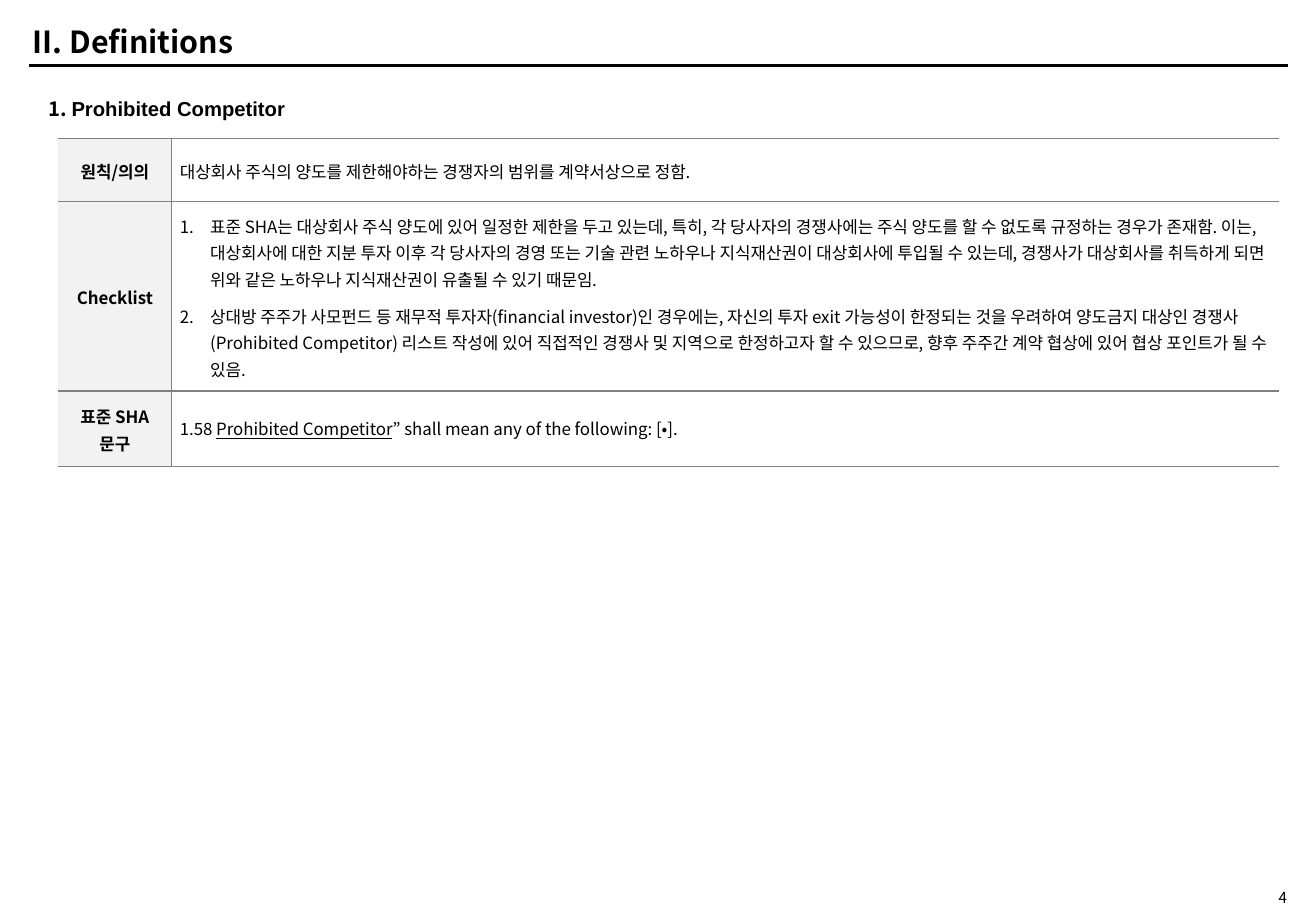
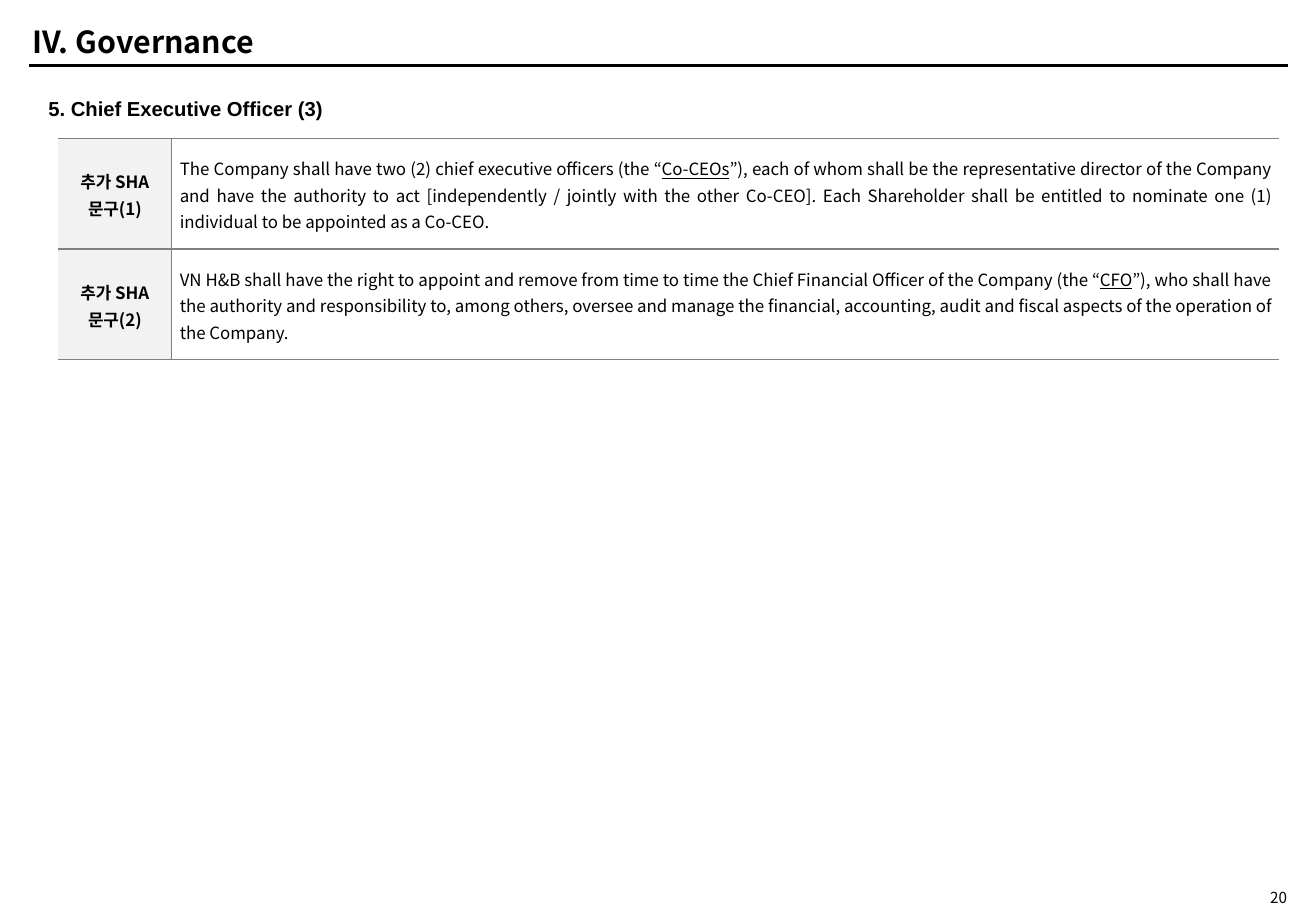
from dataclasses import dataclass

from lxml.etree import SubElement
from pptx import Presentation
from pptx.dml.color import RGBColor
from pptx.enum.shapes import MSO_CONNECTOR
from pptx.enum.text import MSO_ANCHOR, PP_ALIGN
from pptx.oxml.ns import qn
from pptx.util import Inches, Length, Pt


@dataclass(frozen=True)
class Theme:
    ink: str = "000000"
    border: str = "808080"
    label_fill: str = "F2F2F2"
    sans: str = "Noto Sans CJK KR"
    heading_font: str = "Arial"
    title_size: float = 18
    heading_size: float = 12
    body_size: float = 10
    page_size: float = 9
    rule_width: float = 2
    border_width: float = 1


@dataclass(frozen=True)
class Span:
    text: str
    underline: bool = False
    font: str = ""


@dataclass(frozen=True)
class Para:
    spans: tuple[Span, ...]
    align: PP_ALIGN = PP_ALIGN.LEFT
    spacing: float | Length = 1.1
    space_after: float = 0
    numbered: bool = False


@dataclass(frozen=True)
class Row:
    height: float
    label: str
    paras: tuple[Para, ...]


@dataclass(frozen=True)
class Page:
    number: int
    title: str
    heading: tuple[Span, ...]
    rows: tuple[Row, ...]


@dataclass(frozen=True)
class Area:
    """Place on the grid, in columns and rows."""
    left: float
    top: float
    width: float
    height: float


THEME = Theme()
COLUMNS, ROWS = 108.3, 75
SLIDE_WIDTH, SLIDE_HEIGHT = Inches(10.83), Inches(7.5)
TITLE = Area(1.7, 1.5, 74.7, 3.8)
HEADING = Area(3, 7.45, 100.2, 3)
PAGE_NUMBER = Area(97.5, 73.1, 9.4, 1.5)
RULE = Area(2.4, 5.4, 103.6, 0)
TABLE_LEFT, TABLE_TOP = 4.8, 11.4
TABLE_COLUMNS = (9.3, 91.2)
CELL_MARGIN = 0.7
NUMBER_INDENT = 2.5


def across(columns: float) -> Length:
    return Length(round(SLIDE_WIDTH * columns / COLUMNS))


def down(rows: float) -> Length:
    return Length(round(SLIDE_HEIGHT * rows / ROWS))


def place(area: Area) -> tuple[Length, Length, Length, Length]:
    return across(area.left), down(area.top), across(area.width), down(area.height)


def write_para(para, content: Para, size: float, bold: bool = False) -> None:
    para.alignment = content.align
    para.line_spacing = content.spacing
    para.space_after = Pt(content.space_after)
    if content.numbered:
        properties = para._p.get_or_add_pPr()
        properties.set("marL", str(across(NUMBER_INDENT)))
        properties.set("indent", str(-across(NUMBER_INDENT)))
        SubElement(properties, qn("a:buAutoNum"), type="arabicPeriod")
    for span in content.spans:
        for index, line in enumerate(span.text.split("\n")):
            if index:
                para.add_line_break()
            run = para.add_run()
            run.text = line
            font = run.font
            font.size, font.bold = Pt(size), bold
            font.underline = span.underline
            font.color.rgb = RGBColor.from_string(THEME.ink)
            font.name = span.font or THEME.sans
            SubElement(run._r.get_or_add_rPr(), qn("a:ea"), typeface=font.name)


def write_paras(frame, contents: tuple[Para, ...], size: float, bold: bool = False) -> None:
    for index, content in enumerate(contents):
        para = frame.add_paragraph() if index else frame.paragraphs[0]
        write_para(para, content, size, bold)


def add_text(slide, area: Area, content: Para, size: float, bold: bool = False,
             anchor: MSO_ANCHOR = MSO_ANCHOR.MIDDLE, padding: float = 0.5) -> None:
    frame = slide.shapes.add_textbox(*place(area)).text_frame
    frame.word_wrap = True
    frame.vertical_anchor = anchor
    frame.margin_top = frame.margin_bottom = down(padding)
    write_paras(frame, (content,), size, bold)


def add_rule(slide) -> None:
    left, top, width, height = place(RULE)
    rule = slide.shapes.add_connector(
        MSO_CONNECTOR.STRAIGHT, left, top, left + width, top + height)
    rule.line.color.rgb = RGBColor.from_string(THEME.ink)
    rule.line.width = Pt(THEME.rule_width)
    SubElement(rule._element.spPr, qn("a:effectLst"))


def set_borders(cell, visible: str) -> None:
    """Draw the sides named by letters (L, R, T, B) and clear the rest."""
    properties = cell._tc.get_or_add_tcPr()
    for side in "LRTB":
        line = SubElement(properties, qn(f"a:ln{side}"), w=str(Pt(THEME.border_width)))
        if side in visible:
            fill = SubElement(line, qn("a:solidFill"))
            SubElement(fill, qn("a:srgbClr"), val=THEME.border)
        else:
            SubElement(line, qn("a:noFill"))


def add_clauses(slide, rows: tuple[Row, ...]) -> None:
    area = Area(TABLE_LEFT, TABLE_TOP, sum(TABLE_COLUMNS), sum(row.height for row in rows))
    table = slide.shapes.add_table(len(rows), len(TABLE_COLUMNS), *place(area)).table
    table.first_row = table.horz_banding = False
    for column, width in zip(table.columns, TABLE_COLUMNS):
        column.width = across(width)
    for index, row in enumerate(rows):
        table.rows[index].height = down(row.height)
        label, body = table.cell(index, 0), table.cell(index, 1)
        for cell, sides in ((label, "RTB"), (body, "LTB")):
            cell.vertical_anchor = MSO_ANCHOR.MIDDLE
            cell.margin_left = cell.margin_right = across(CELL_MARGIN)
            cell.margin_top = cell.margin_bottom = 0
            set_borders(cell, sides)
        label.fill.solid()
        label.fill.fore_color.rgb = RGBColor.from_string(THEME.label_fill)
        body.fill.background()
        name = Para((Span(row.label),), PP_ALIGN.CENTER)
        write_paras(label.text_frame, (name,), THEME.body_size, bold=True)
        write_paras(body.text_frame, row.paras, THEME.body_size)


def add_page(deck, page: Page) -> None:
    slide = deck.slides.add_slide(deck.slide_layouts[6])
    add_rule(slide)
    add_text(slide, PAGE_NUMBER, Para((Span(str(page.number)),), PP_ALIGN.RIGHT, 1.0),
             THEME.page_size, padding=0)
    add_text(slide, TITLE, Para((Span(page.title),), spacing=1.0), THEME.title_size, True)
    add_text(slide, HEADING, Para(page.heading, spacing=1.0), THEME.heading_size, True,
             MSO_ANCHOR.TOP)
    add_clauses(slide, page.rows)


PAGES = (
    Page(4, "II. Definitions",
         (Span("1. "), Span("Prohibited Competitor", font=THEME.heading_font)), (
             Row(5.2, "원칙/의의", (
                 Para((Span("대상회사 주식의 양도를 제한해야하는 경쟁자의 범위를 계약서상으로 정함."),)),)),
             Row(15.6, "Checklist", (
                 Para((Span(
                     "표준 SHA는 대상회사 주식 양도에 있어 일정한 제한을 두고 있는데, 특히, "
                     "각 당사자의 경쟁사에는 주식 양도를 할 수 없도록 규정하는 경우가 존재함. "
                     "이는, 대상회사에 대한 지분 투자 이후 각 당사자의 경영 또는 기술 관련 "
                     "노하우나 지식재산권이 대상회사에 투입될 수 있는데, 경쟁사가 대상회사를 "
                     "취득하게 되면 위와 같은 노하우나 지식재산권이 유출될 수 있기 때문임."),),
                     space_after=6, numbered=True),
                 Para((Span(
                     "상대방 주주가 사모펀드 등 재무적 투자자(financial investor)인 경우에는, "
                     "자신의 투자 exit 가능성이 한정되는 것을 우려하여 양도금지 대상인 "
                     "경쟁사(Prohibited Competitor) 리스트 작성에 있어 직접적인 경쟁사 및 "
                     "지역으로 한정하고자 할 수 있으므로, 향후 주주간 계약 협상에 있어 협상 "
                     "포인트가 될 수 있음."),), numbered=True))),
             Row(6.2, "표준 SHA\n문구", (
                 Para((Span("1.58 "), Span("Prohibited Competitor", underline=True),
                       Span("” shall mean any of the following: [•].")), spacing=Pt(14)),)),
         )),
    Page(20, "IV. Governance",
         (Span("5. Chief Executive Officer (3)", font=THEME.heading_font),), (
             Row(9.1, "추가 SHA\n문구(1)", (
                 Para((Span("The Company shall have two (2) chief executive officers (the “"),
                       Span("Co-CEOs", underline=True),
                       Span("”), each of whom shall be the representative director of the "
                            "Company and have the authority to act [independently / jointly "
                            "with the other Co-CEO]. Each Shareholder shall be entitled to "
                            "nominate one (1) individual to be appointed as a Co-CEO.")),
                      PP_ALIGN.JUSTIFY),)),
             Row(9.1, "추가 SHA\n문구(2)", (
                 Para((Span("VN H&B shall have the right to appoint and remove from time to "
                            "time the Chief Financial Officer of the Company (the “"),
                       Span("CFO", underline=True),
                       Span("”), who shall have the authority and responsibility to, among "
                            "others, oversee and manage the financial, accounting, audit and "
                            "fiscal aspects of the operation of the Company.")),
                      PP_ALIGN.JUSTIFY),)),
         )),
)


def main() -> None:
    deck = Presentation()
    deck.slide_width, deck.slide_height = SLIDE_WIDTH, SLIDE_HEIGHT
    for page in PAGES:
        add_page(deck, page)
    deck.save("out.pptx")


if __name__ == "__main__":
    main()
